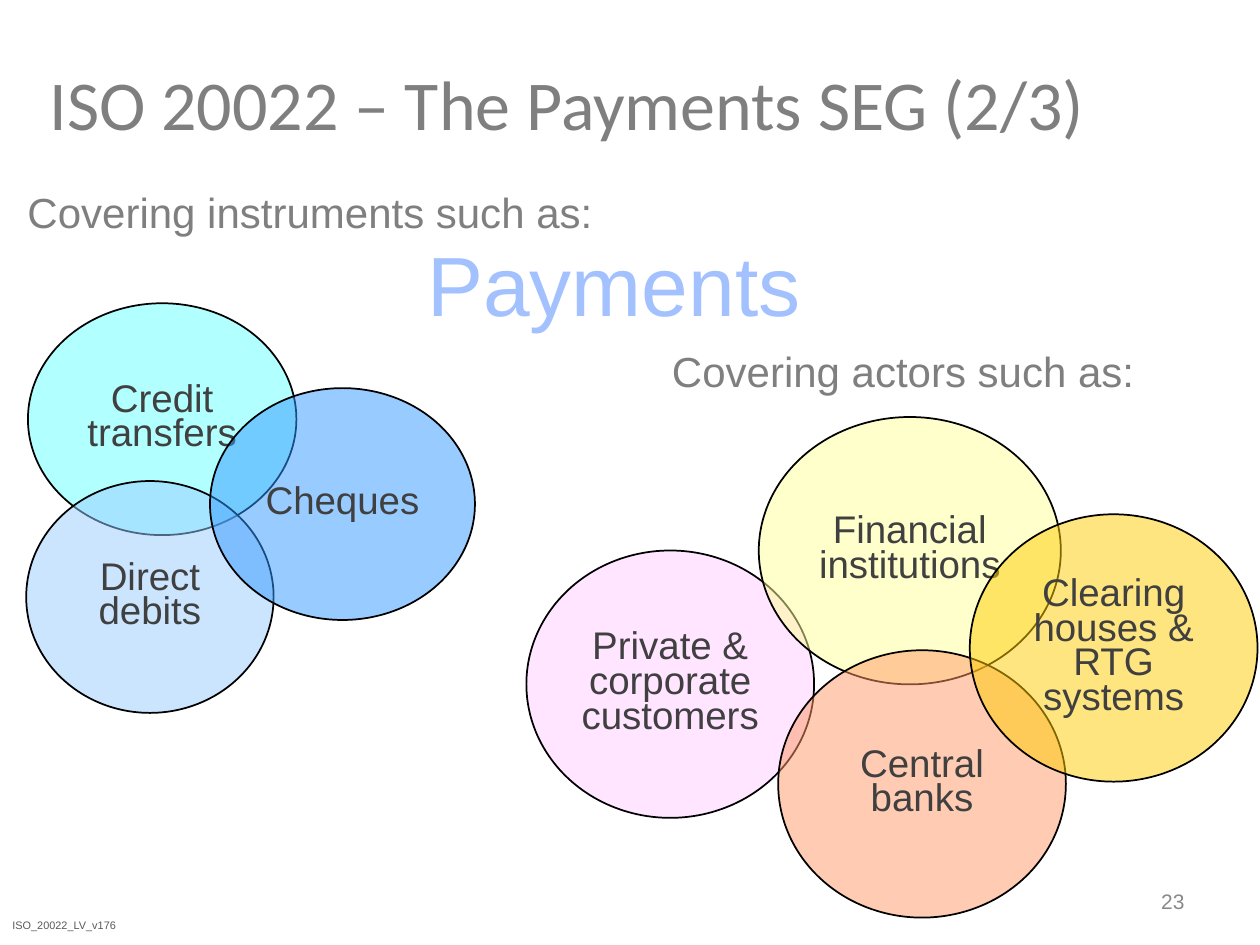
from pptx import Presentation
from pptx.dml.color import RGBColor
from pptx.enum.shapes import MSO_SHAPE
from pptx.enum.text import MSO_ANCHOR, MSO_AUTO_SIZE, PP_ALIGN
from pptx.oxml.ns import qn
from pptx.util import Pt
from lxml import etree

OVAL = MSO_SHAPE.OVAL
TOP, MIDDLE = MSO_ANCHOR.TOP, MSO_ANCHOR.MIDDLE
LEFT, CENTER, RIGHT = PP_ALIGN.LEFT, PP_ALIGN.CENTER, PP_ALIGN.RIGHT
FIT, FIXED = MSO_AUTO_SIZE.SHAPE_TO_FIT_TEXT, MSO_AUTO_SIZE.NONE

COLORS = {
    "heading": "7F7F7F", "theme": "A2C1FE", "label": "404040",
    "footer": "595959", "number": "898989", "outline": "000000",
    "credit": "66FFFF", "debit": "99CCFF", "cheque": "3399FF",
    "customer": "FFCCFF", "institution": "FFFF99",
    "central": "FF9966", "clearing": "FFCC00",
}

# Text, left, top, width, colour; circles of one group share a height.
INSTRUMENT_HEIGHT = 132.5
INSTRUMENTS = [
    ("Credit transfers", 16, 173.3, 153.4, "credit"),
    ("Direct debits", 15, 274.9, 141.4, "debit"),
    ("Cheques", 120, 221.8, 151.4, "cheque"),
]
ACTOR_HEIGHT = 152.8
ACTORS = [
    ("Private & corporate customers", 300.8, 314.6, 164.4, "customer"),
    ("Financial institutions", 433.6, 238.3, 172.6, "institution"),
    ("Central banks", 444.7, 371.6, 164.4, "central"),
    ("Clearing houses & RTG systems", 554.2, 293.9, 164.4, "clearing"),
]


def color(name):
    return RGBColor.from_string(COLORS[name])


def write(frame, text, size, ink, font="Arial", align=LEFT, anchor=TOP,
          spacing=None, wrap=True):
    frame.word_wrap = wrap
    frame.auto_size = FIXED if wrap else FIT
    frame.vertical_anchor = anchor
    para = frame.paragraphs[0]
    para.alignment = align
    if spacing:
        para.line_spacing = spacing
    span = para.add_run()
    span.text = text
    span.font.name = font
    span.font.size = Pt(size)
    span.font.color.rgb = color(ink)


class SlideBuilder:
    """Holds the current page and the style of its circles."""

    label_size = 22
    label_spacing = 0.75
    outline_width = 1
    opacity = 50

    def __init__(self, page):
        self.page = page

    def text(self, text, left, top, width, height, **style):
        box = self.page.shapes.add_textbox(
            Pt(left), Pt(top), Pt(width), Pt(height))
        write(box.text_frame, text, **style)

    def circle(self, text, left, top, width, height, fill):
        circle = self.page.shapes.add_shape(
            OVAL, Pt(left), Pt(top), Pt(width), Pt(height))
        circle.shadow.inherit = False
        circle.fill.solid()
        circle.fill.fore_color.rgb = color(fill)
        tint = circle.fill._xPr.find(qn("a:solidFill"))[0]
        etree.SubElement(tint, qn("a:alpha"), val=str(self.opacity * 1000))
        circle.line.color.rgb = color("outline")
        circle.line.width = Pt(self.outline_width)
        write(circle.text_frame, text, self.label_size, "label", align=CENTER,
              anchor=MIDDLE, spacing=self.label_spacing)

    def circles(self, group, height):
        for text, left, top, width, fill in group:
            self.circle(text, left, top, width, height, fill)


def main():
    deck = Presentation()
    deck.slide_width, deck.slide_height = Pt(720), Pt(540)
    builder = SlideBuilder(deck.slides.add_slide(deck.slide_layouts[6]))

    builder.text("ISO 20022 – The Payments SEG (2/3)", 15, 24.5, 618, 68,
                 size=40, ink="heading", font="Calibri", align=CENTER,
                 anchor=MIDDLE)
    builder.text("ISO_20022_LV_v176", 0, 521.3, 357, 15.8, size=6.2,
                 ink="footer", anchor=MIDDLE, spacing=0.8)
    builder.text("Payments", 237, 129.6, 241, 65, size=48, ink="theme",
                 wrap=False)

    subheading = {"size": 24, "ink": "heading", "align": RIGHT, "wrap": False}
    builder.text("Covering instruments such as:", 8.6, 103, 337, 36,
                 **subheading)
    builder.circles(INSTRUMENTS, INSTRUMENT_HEIGHT)
    builder.text("Covering actors such as:", 376.6, 193.7, 278.6, 36,
                 **subheading)
    builder.circles(ACTORS, ACTOR_HEIGHT)

    builder.text("23", 516, 500.4, 168, 28.8, size=12, ink="number",
                 align=RIGHT, anchor=MIDDLE)
    deck.save("out.pptx")


if __name__ == "__main__":
    main()
